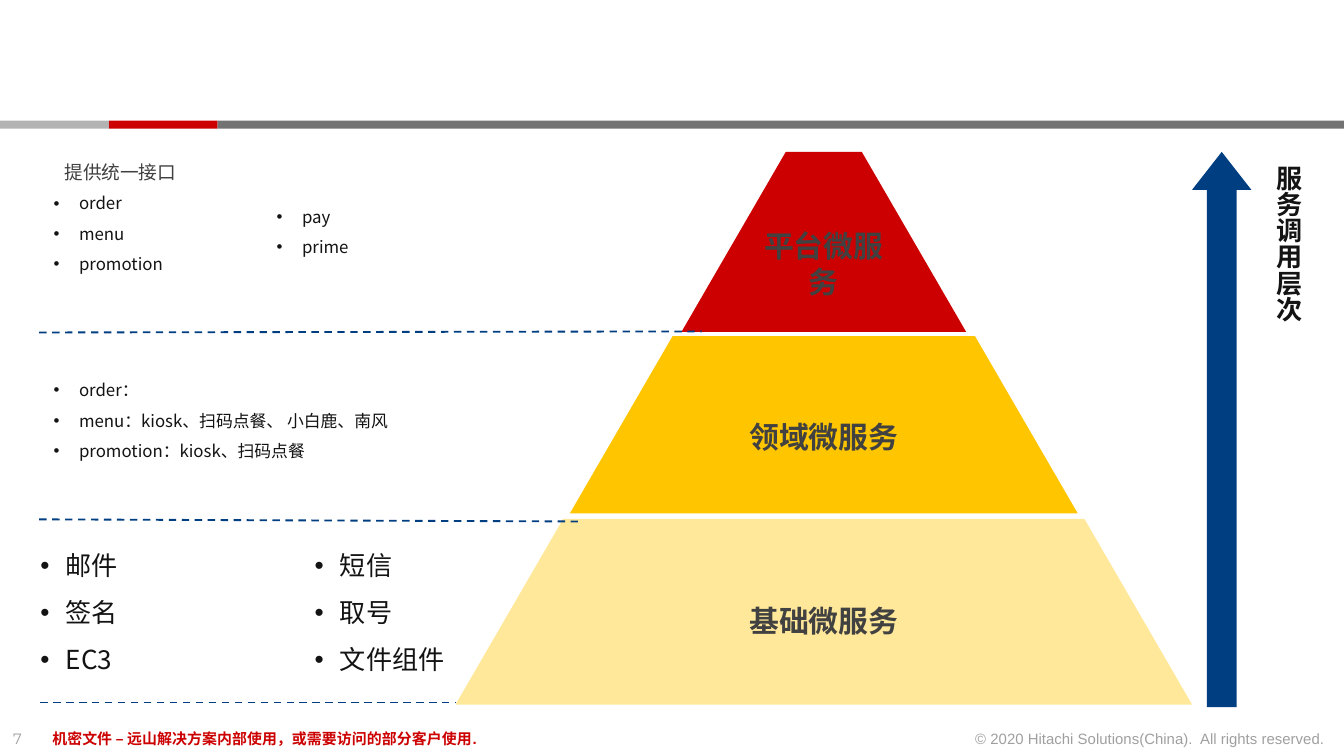
from lxml.etree import SubElement
from pptx import Presentation
from pptx.dml.color import RGBColor
from pptx.enum.dml import MSO_LINE
from pptx.enum.shapes import MSO_CONNECTOR, MSO_SHAPE
from pptx.enum.text import MSO_ANCHOR, MSO_AUTO_SIZE, PP_ALIGN
from pptx.oxml.ns import qn
from pptx.util import Cm, Pt

COLORS = {
    "red": "CC0000", "gold": "FFC600", "cream": "FFE899", "blue": "003E82",
    "gray": "737373", "silver": "B3B3B3", "white": "FFFFFF",
    "text": "414141", "ink": "141313",
}
CJK = "Noto Sans CJK SC"


def add_run(paragraph, text, size, color, font=CJK, bold=False):
    run = paragraph.add_run()
    run.text = text
    run.font.size = Pt(size)
    run.font.bold = bold
    run.font.color.rgb = RGBColor.from_string(COLORS[color])
    run.font.name = font
    SubElement(run.font._element, qn("a:ea"), typeface=CJK)
    return run


def add_block(kind, left, top, width, height, fill):
    block = slide.shapes.add_shape(kind, Cm(left), Cm(top), Cm(width), Cm(height))
    block.shadow.inherit = False
    block.fill.solid()
    block.fill.fore_color.rgb = RGBColor.from_string(COLORS[fill])
    block.line.fill.background()
    return block


prs = Presentation()
prs.slide_width, prs.slide_height = Cm(25.4), Cm(14.28)
slide = prs.slides.add_slide(prs.slide_layouts.get_by_name("Comparison"))
title = slide.shapes.title._element
title.getparent().remove(title)
list_holders = list(slide.placeholders)

# Header band
for left, right, color in [(4.11, 25.4, "gray"), (2.06, 4.11, "red"), (0, 2.06, "silver")]:
    add_block(MSO_SHAPE.RECTANGLE, left, 2.28, right - left, 0.15, color)

# Footer
footers = [
    (0, 0.86, "7", "Montserrat", "text", PP_ALIGN.LEFT),
    (18.08, 7.21, "© 2020 Hitachi Solutions(China).  All rights reserved.", "Arial", "text", PP_ALIGN.RIGHT),
    (0.74, 17.12, "机密文件 – 远山解决方案内部使用，或需要访问的部分客户使用.", "Arial", "red", PP_ALIGN.LEFT),
]
for left, width, text, font, color, align in footers:
    footer = slide.shapes.add_textbox(Cm(left), Cm(13.65), Cm(width), Cm(0.61))
    footer.text_frame.word_wrap = True
    line = footer.text_frame.paragraphs[0]
    line.alignment = align
    run = add_run(line, text, 8, color, font, bold=color == "red")
    if color == "text":
        tint = run.font._element.find(".//" + qn("a:srgbClr"))
        SubElement(tint, qn("a:alpha"), val="50000")

# Pyramid of service tiers
PYRAMID_CENTER = 15.57
tiers = [
    (2.87, 5.38, 3.4, "red", "平台微服务"),
    (6.35, 9.6, 3.35, "gold", "领域微服务"),
    (9.8, 13.92, 3.51, "cream", "基础微服务"),
]
for top, width, height, color, name in tiers:
    tier = add_block(MSO_SHAPE.TRAPEZOID, PYRAMID_CENTER - width / 2, top, width, height, color)
    tier.adjustments[0] = 0.58
    frame = tier.text_frame
    frame.word_wrap = True
    frame.vertical_anchor = MSO_ANCHOR.MIDDLE
    frame.margin_left = frame.margin_right = Cm(0.1)
    frame.margin_top = frame.margin_bottom = Cm(0.2)
    frame.paragraphs[0].alignment = PP_ALIGN.CENTER
    add_run(frame.paragraphs[0], name, 16, "text", bold=True)

# Call direction
call_arrow = add_block(MSO_SHAPE.UP_ARROW, 22.53, 2.87, 1.12, 10.49, "blue")
call_arrow.adjustments[0] = 0.5
call_arrow.adjustments[1] = 0.64
call_label = slide.shapes.add_textbox(Cm(23.65), Cm(2.87), Cm(1.12), Cm(10.49))
call_label.text_frame.word_wrap = True
call_label.text_frame._txBody.bodyPr.set("vert", "eaVert")
add_run(call_label.text_frame.paragraphs[0], "服务调用层次", 14, "ink", bold=True)

# Dashed tier separators
for x1, y1, x2, y2 in [(0.74, 6.28, 13.26, 6.26), (0.74, 9.81, 10.92, 9.85), (0.76, 13.27, 8.61, 13.27)]:
    separator = slide.shapes.add_connector(MSO_CONNECTOR.STRAIGHT, Cm(x1), Cm(y1), Cm(x2), Cm(y2))
    separator.line.color.rgb = RGBColor.from_string(COLORS["blue"])
    separator.line.width = Pt(1)
    separator.line.dash_style = MSO_LINE.DASH
    SubElement(separator._element.spPr, qn("a:effectLst"))

interface_label = add_block(MSO_SHAPE.RECTANGLE, 0.97, 2.9, 2.62, 0.69, "white")
interface_label.text_frame.word_wrap = False
interface_label.text_frame.paragraphs[0].alignment = PP_ALIGN.LEFT
add_run(interface_label.text_frame.paragraphs[0], "提供统一接口", 10, "text", "Arial")

# Service lists, the last one in a text box as the layout has four bodies
service_lists = [
    (0.76, 3.33, 3.61, 2.57, 9, ["order", "menu", "promotion"]),
    (0.76, 6.86, 7.09, 2.57, 9, ["order：", "menu：kiosk、扫码点餐、 小白鹿、南风", "promotion：kiosk、扫码点餐"]),
    (0.51, 9.96, 5.94, 3.73, 14, ["邮件", "签名", "EC3"]),
    (5.69, 9.96, 4.78, 3.73, 14, ["短信", "取号", "文件组件"]),
    (4.98, 3.58, 3.61, 2.57, 9, ["pay", "prime"]),
]
list_holders.append(slide.shapes.add_textbox(0, 0, 0, 0))
for holder, (left, top, width, height, size, items) in zip(list_holders, service_lists):
    holder.left, holder.top, holder.width, holder.height = Cm(left), Cm(top), Cm(width), Cm(height)
    frame = holder.text_frame
    frame.word_wrap = True
    frame.auto_size = MSO_AUTO_SIZE.NONE
    frame.vertical_anchor = MSO_ANCHOR.TOP
    for index, item in enumerate(items):
        entry = frame.paragraphs[0] if index == 0 else frame.add_paragraph()
        entry.line_spacing = 1.5
        entry.space_before = Pt(0)
        props = entry._p.get_or_add_pPr()
        props.set("marL", str(Cm(0.48)))
        props.set("indent", str(-Cm(0.48)))
        SubElement(props, qn("a:buFont"), typeface="Arial")
        SubElement(props, qn("a:buChar"), char="•")
        add_run(entry, item, size, "ink")

prs.save("out.pptx")
